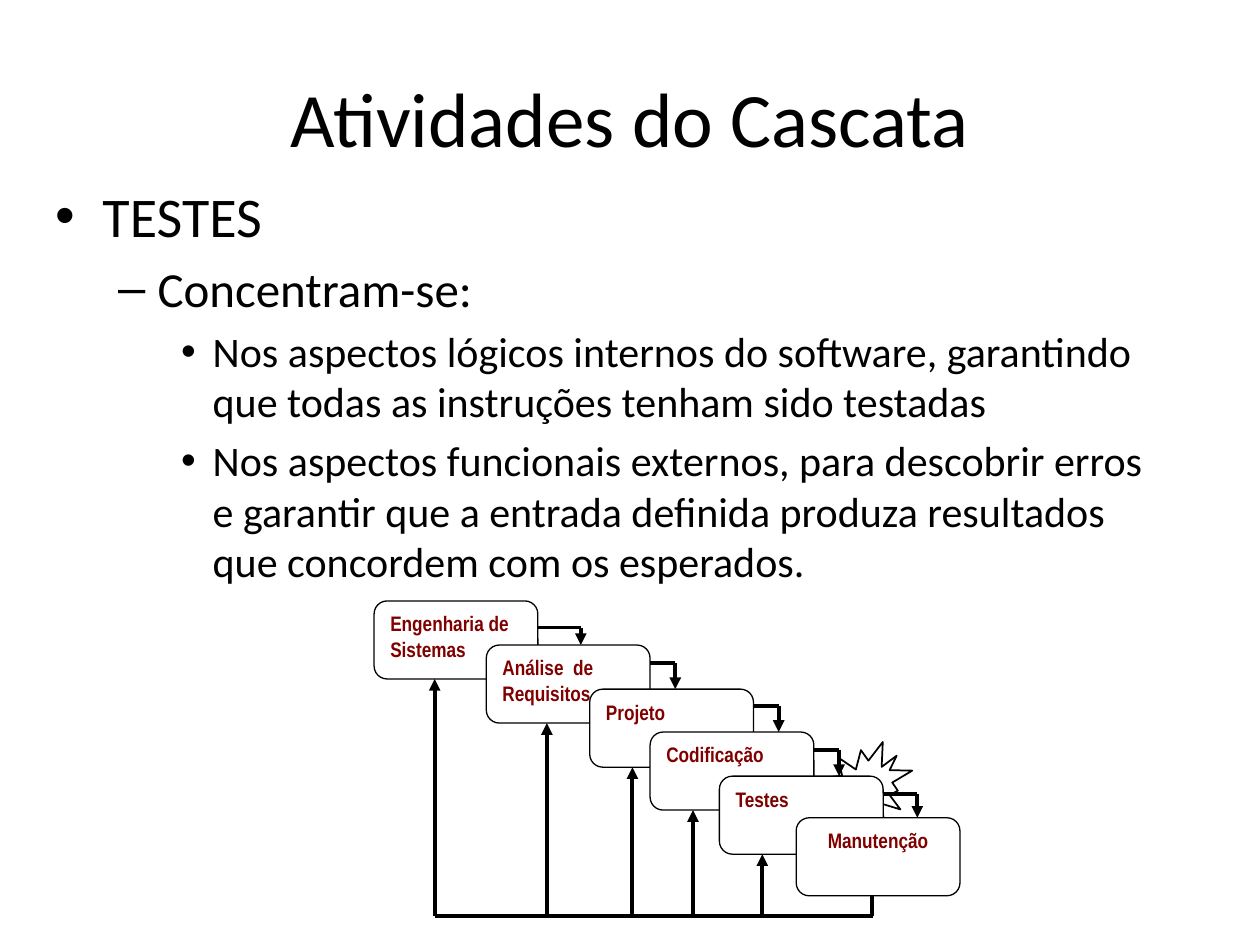
from dataclasses import dataclass
from typing import Optional

from lxml import etree
from pptx import Presentation
from pptx.dml.color import RGBColor
from pptx.enum.shapes import MSO_CONNECTOR, MSO_SHAPE
from pptx.enum.text import MSO_ANCHOR, PP_ALIGN
from pptx.oxml.ns import qn
from pptx.util import Pt

LEFT, CENTER = PP_ALIGN.LEFT, PP_ALIGN.CENTER
TOP, MIDDLE = MSO_ANCHOR.TOP, MSO_ANCHOR.MIDDLE
STRAIGHT = MSO_CONNECTOR.STRAIGHT
ROUNDED, BURST = MSO_SHAPE.ROUNDED_RECTANGLE, MSO_SHAPE.EXPLOSION2
COLORS = {"black": "000000", "white": "FFFFFF", "maroon": "800000"}
STAGE_WIDTH, STAGE_HEIGHT = 93.6, 44.6
BUS_Y = 523.4


@dataclass
class Bullet:
    text: str
    level: int


@dataclass
class BulletStyle:
    mark: str
    size: float
    margin: float
    hanging: float
    space_before: float


@dataclass
class Stage:
    label: str
    left: float
    top: float
    elbow_x: Optional[float] = None  # where the arrow to the next stage turns
    elbow_y: Optional[float] = None
    riser_x: Optional[float] = None  # feedback arrow from the bus
    align: PP_ALIGN = LEFT


BULLET_STYLES = [
    BulletStyle("•", 32, 27, 27, 0),
    BulletStyle("–", 28, 58.5, 22.5, 5.6),
    BulletStyle("•", 24, 90, 18, 4.8),
]
BULLETS = [
    Bullet("TESTES", 0),
    Bullet("Concentram-se:", 1),
    Bullet("Nos aspectos lógicos internos do software, garantindo que todas as "
           "instruções tenham sido testadas", 2),
    Bullet("Nos aspectos funcionais externos, para descobrir erros e garantir que a "
           "entrada definida produza resultados que concordem com os esperados.", 2),
]
STAGES = [
    Stage("Engenharia de Sistemas", 213.8, 343.4, 331.9, 358.6, 248.4),
    Stage("Análise  de Requisitos", 277.9, 368.6, 385.9, 378.7, 312.5),
    Stage("Projeto", 337, 393.8, 445, 403.2, 361.4),
    Stage("Codificação", 371.5, 418.3, 479.5, 428.4, 396),
    Stage("Testes", 411.1, 443.5, 524.2, 453.6, 435.6),
    Stage("Manutenção", 455, 467.3, align=CENTER),
]


def color(name: str) -> RGBColor:
    return RGBColor.from_string(COLORS[name])


def format_font(font, **values) -> None:
    font.color.rgb = color(values.pop("color"))
    for name, value in values.items():
        setattr(font, name, value)


def format_frame(frame, anchor) -> None:
    values = {"word_wrap": True, "vertical_anchor": anchor,
              "margin_left": Pt(7.2), "margin_right": Pt(7.2),
              "margin_top": Pt(3.6), "margin_bottom": Pt(3.6)}
    for name, value in values.items():
        setattr(frame, name, value)


def place(shape, left: float, top: float, width: float, height: float) -> None:
    for name, value in zip(("left", "top", "width", "height"), (left, top, width, height)):
        setattr(shape, name, Pt(value))


def add_bullet(para, bullet: Bullet) -> None:
    style = BULLET_STYLES[bullet.level]
    para.text = bullet.text
    para.level = bullet.level
    para.space_before = Pt(style.space_before)
    properties = para._p.get_or_add_pPr()
    properties.set("marL", str(Pt(style.margin)))
    properties.set("indent", str(-Pt(style.hanging)))
    etree.SubElement(properties, qn("a:buFont")).set("typeface", "Arial")
    etree.SubElement(properties, qn("a:buChar")).set("char", style.mark)
    format_font(para.font, name="Calibri", size=Pt(style.size), color="black")


def add_line(slide, start: tuple[float, float], end: tuple[float, float],
             arrow: bool = False) -> None:
    line = slide.shapes.add_connector(STRAIGHT, *(Pt(value) for value in start + end))
    line.line.color.rgb = color("black")
    line.line.width = Pt(2.25)
    if arrow:
        etree.SubElement(line.line._get_or_add_ln(), qn("a:tailEnd")).set("type", "triangle")
    etree.SubElement(line._element.spPr, qn("a:effectLst"))


def add_stage(slide, stage: Stage) -> None:
    box = slide.shapes.add_shape(ROUNDED, Pt(stage.left), Pt(stage.top),
                                 Pt(STAGE_WIDTH), Pt(STAGE_HEIGHT))
    box.shadow.inherit = False
    box.fill.solid()
    box.fill.fore_color.rgb = color("white")
    box.line.color.rgb = color("black")
    box.line.width = Pt(0.75)
    format_frame(box.text_frame, TOP)
    para = box.text_frame.paragraphs[0]
    para.alignment = stage.align
    span = para.add_run()
    span.text = stage.label
    format_font(span.font, name="Arial Narrow", size=Pt(12), bold=True, color="maroon")


def main() -> None:
    deck = Presentation()
    deck.slide_width, deck.slide_height = Pt(720), Pt(540)
    slide = deck.slides.add_slide(deck.slide_layouts[5])

    # Title
    title = slide.shapes.title
    place(title, 36, 21.6, 648, 90)
    format_frame(title.text_frame, MIDDLE)
    title.text_frame.text = "Atividades do Cascata"
    heading = title.text_frame.paragraphs[0]
    heading.alignment = CENTER
    format_font(heading.font, name="Calibri", size=Pt(44), color="black")

    # Bulleted text
    body = slide.shapes.add_textbox(Pt(24.5), Pt(100), Pt(648), Pt(356.4))
    frame = body.text_frame
    format_frame(frame, TOP)
    for index, bullet in enumerate(BULLETS):
        add_bullet(frame.add_paragraph() if index else frame.paragraphs[0], bullet)

    # Burst behind the current stage
    burst = slide.shapes.add_shape(BURST, Pt(468), Pt(424), Pt(53.3), Pt(53.3))
    burst.shadow.inherit = False
    burst.fill.background()
    burst.line.color.rgb = color("black")
    burst.line.width = Pt(1)

    # Cascade stages
    for stage in STAGES:
        add_stage(slide, stage)

    # Forward arrows, and feedback arrows from the bus
    for stage, following in zip(STAGES, STAGES[1:]):
        corner = (stage.elbow_x, stage.elbow_y)
        add_line(slide, (stage.left + STAGE_WIDTH, stage.elbow_y), corner)
        add_line(slide, corner, (stage.elbow_x, following.top), arrow=True)
        add_line(slide, (stage.riser_x, BUS_Y),
                 (stage.riser_x, stage.top + STAGE_HEIGHT), arrow=True)

    # Feedback bus
    last = STAGES[-1]
    add_line(slide, (498.2, last.top + STAGE_HEIGHT), (498.2, BUS_Y))
    add_line(slide, (STAGES[0].riser_x, BUS_Y), (499, BUS_Y))

    deck.save("out.pptx")


if __name__ == "__main__":
    main()
